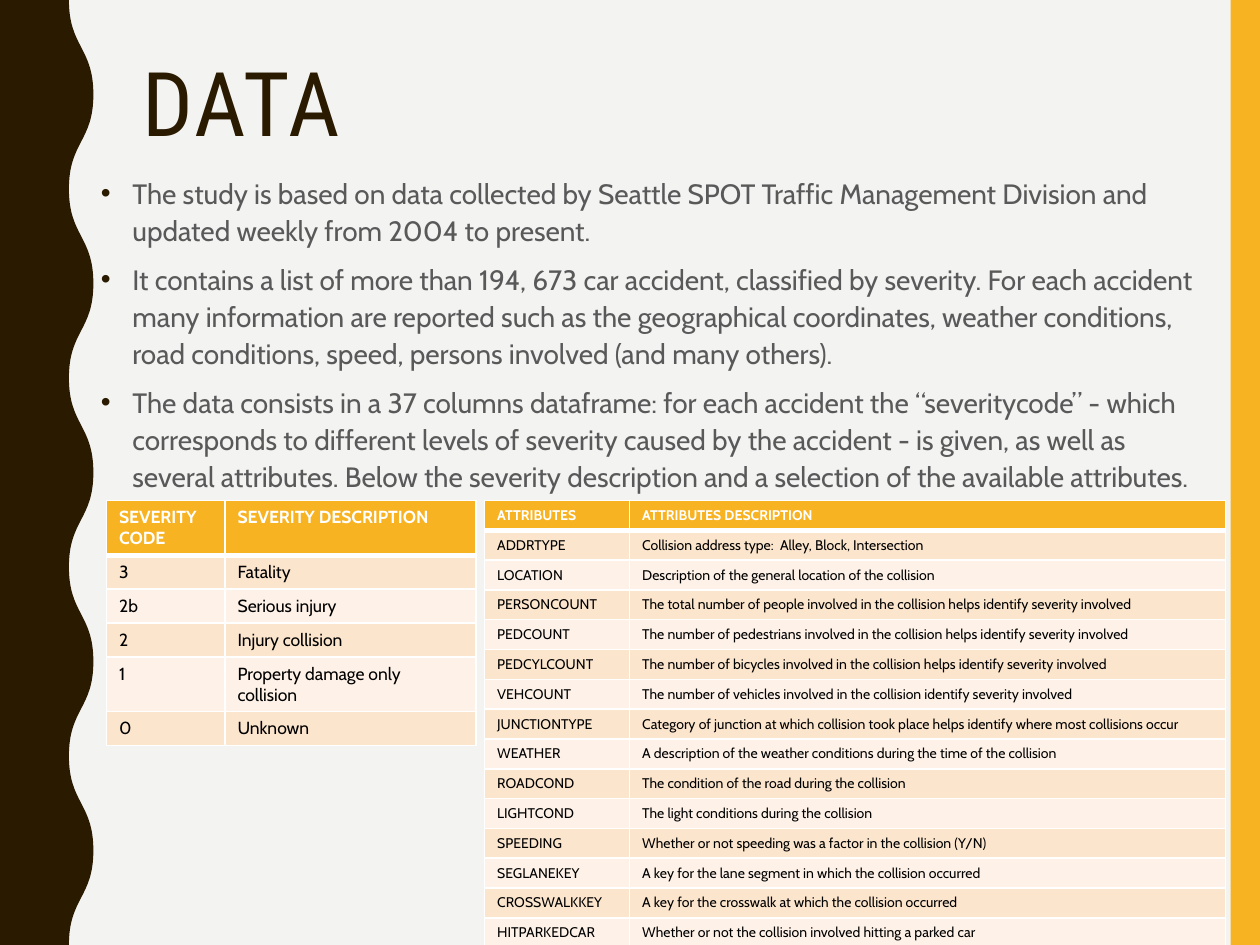
from lxml import etree
from pptx import Presentation
from pptx.dml.color import RGBColor
from pptx.enum.shapes import MSO_SHAPE
from pptx.oxml.ns import qn
from pptx.util import Pt

RECTANGLE = MSO_SHAPE.RECTANGLE
PAPER = RGBColor(0xF3, 0xF3, 0xF2)
AMBER = RGBColor(0xF8, 0xB3, 0x23)
BROWN = RGBColor(0x2A, 0x1A, 0x00)
GREY = RGBColor(0x59, 0x59, 0x59)
PEACH = RGBColor(0xFC, 0xE5, 0xCD)
CREAM = RGBColor(0xFE, 0xF2, 0xE8)
WHITE = RGBColor(0xFF, 0xFF, 0xFF)
BLACK = RGBColor(0x00, 0x00, 0x00)

BULLETS = [
    "The study is based on data collected by Seattle SPOT Traffic Management Division and "
    "updated weekly from 2004 to present.",
    "It contains a list of more than 194, 673 car accident, classified by severity. For each "
    "accident many information are reported such as the geographical coordinates, weather "
    "conditions, road conditions, speed, persons involved (and many others).",
    "The data consists in a 37 columns dataframe: for each accident the “severitycode” - which "
    "corresponds to different levels of severity caused by the accident - is given, as well as "
    "several attributes. Below the severity description and a selection of the available "
    "attributes.",
]
SEVERITIES = [
    ("SEVERITY  CODE", "SEVERITY DESCRIPTION"),
    ("3", "Fatality"),
    ("2b", "Serious injury"),
    ("2", "Injury collision"),
    ("1", "Property damage only collision"),
    ("0", "Unknown"),
]
ATTRIBUTES = [
    ("ATTRIBUTES", "ATTRIBUTES DESCRIPTION"),
    ("ADDRTYPE", "Collision address type:  Alley, Block, Intersection"),
    ("LOCATION", "Description of the general location of the collision"),
    ("PERSONCOUNT", "The total number of people involved in the collision helps identify severity involved"),
    ("PEDCOUNT", "The number of pedestrians involved in the collision helps identify severity involved"),
    ("PEDCYLCOUNT", "The number of bicycles involved in the collision helps identify severity involved"),
    ("VEHCOUNT", "The number of vehicles involved in the collision identify severity involved"),
    ("JUNCTIONTYPE", "Category of junction at which collision took place helps identify where most collisions occur"),
    ("WEATHER", "A description of the weather conditions during the time of the collision"),
    ("ROADCOND", "The condition of the road during the collision"),
    ("LIGHTCOND", "The light conditions during the collision"),
    ("SPEEDING", "Whether or not speeding was a factor in the collision (Y/N)"),
    ("SEGLANEKEY", "A key for the lane segment in which the collision occurred"),
    ("CROSSWALKKEY", "A key for the crosswalk at which the collision occurred"),
    ("HITPARKEDCAR", "Whether or not the collision involved hitting a parked car"),
]


def set_borders(cell, widths):
    tcPr = cell._tc.get_or_add_tcPr()
    for side, width in zip("LRTB", widths):
        ln = etree.SubElement(tcPr, qn("a:ln" + side), w=str(Pt(width)))
        fill = etree.SubElement(ln, qn("a:solidFill"))
        etree.SubElement(fill, qn("a:srgbClr"), val=str(WHITE))


def add_grid(s, rows, left, widths, row_height, size):
    frame = s.shapes.add_table(len(rows), len(widths), Pt(left), Pt(286),
                               Pt(sum(widths)), Pt(row_height * len(rows)))
    table = frame.table
    for column, width in zip(table.columns, widths):
        column.width = Pt(width)
    for i, row in enumerate(rows):
        for j, text in enumerate(row):
            cell = table.cell(i, j)
            set_borders(cell, (1, 1, 3 if i == 1 else 1, 3 if i == 0 else 1))
            cell.fill.solid()
            cell.fill.fore_color.rgb = AMBER if i == 0 else PEACH if i % 2 else CREAM
            p = cell.text_frame.paragraphs[0]
            p.text = text
            p.font.name = "Cabin"
            p.font.size = Pt(size)
            p.font.bold = i == 0
            p.font.color.rgb = WHITE if i == 0 else BLACK


prs = Presentation()
prs.slide_width = Pt(720)
prs.slide_height = Pt(540)
s = prs.slides.add_slide(prs.slide_layouts[6])
s.background.fill.solid()
s.background.fill.fore_color.rgb = PAPER

bar = s.shapes.add_shape(RECTANGLE, Pt(703.2), 0, Pt(16.8), Pt(540))

TROUGH, CREST, HALF_WAVE = Pt(39.4), Pt(53.4), Pt(54)
nodes = [(CREST if k % 2 else TROUGH, HALF_WAVE * k) for k in range(11)]
builder = s.shapes.build_freeform(*nodes[0])
builder.add_line_segments(nodes[1:] + [(0, Pt(540)), (0, 0)], close=True)
wave = builder.convert_to_shape()
lines = list(wave._element.iter(qn("a:lnTo")))
for (x0, y0), (x1, y1), line in zip(nodes, nodes[1:], lines):
    middle = (y0 + y1) // 2
    curve = etree.Element(qn("a:cubicBezTo"))
    for x, y in ((x0, middle), (x1, middle), (x1, y1)):
        etree.SubElement(curve, qn("a:pt"), x=str(x), y=str(y))
    line.getparent().replace(line, curve)

for sp, color in ((bar, AMBER), (wave, BROWN)):
    sp.shadow.inherit = False
    sp.fill.solid()
    sp.fill.fore_color.rgb = color
    sp.line.fill.background()

title = s.shapes.add_textbox(Pt(74.2), Pt(30.2), Pt(601.2), Pt(117.4))
title.text_frame.word_wrap = True
p = title.text_frame.paragraphs[0]
p.line_spacing = 0.9
r = p.add_run()
r.text = "DATA"
r.font.name = "Roboto Condensed"
r.font.size = Pt(51)
r.font.color.rgb = BROWN
r._r.get_or_add_rPr().set("spc", "150")

body = s.shapes.add_textbox(Pt(50.6), Pt(95.4), Pt(645.1), Pt(215.3))
tf = body.text_frame
tf.word_wrap = True
for i, text in enumerate(BULLETS):
    p = tf.add_paragraph() if i else tf.paragraphs[0]
    p.text = text
    p.line_spacing = 1.1
    p.space_before = Pt(7)
    p.font.name = "Cabin"
    p.font.size = Pt(16)
    p.font.color.rgb = GREY
    pPr = p._p.get_or_add_pPr()
    pPr.set("marL", str(Pt(18)))
    pPr.set("indent", str(-Pt(18)))
    bullet_color = etree.Element(qn("a:buClr"))
    etree.SubElement(bullet_color, qn("a:srgbClr"), val=str(BROWN))
    bullet_font = etree.Element(qn("a:buFont"), typeface="Arial")
    bullet = etree.Element(qn("a:buChar"), char="•")
    for element in (bullet_color, bullet_font, bullet):
        pPr.find(qn("a:defRPr")).addprevious(element)

add_grid(s, SEVERITIES, 60.9, (67.7, 143.4), 19.4, 10)
add_grid(s, ATTRIBUTES, 276.9, (82.9, 340.6), 17.06, 8)

prs.save("out.pptx")
